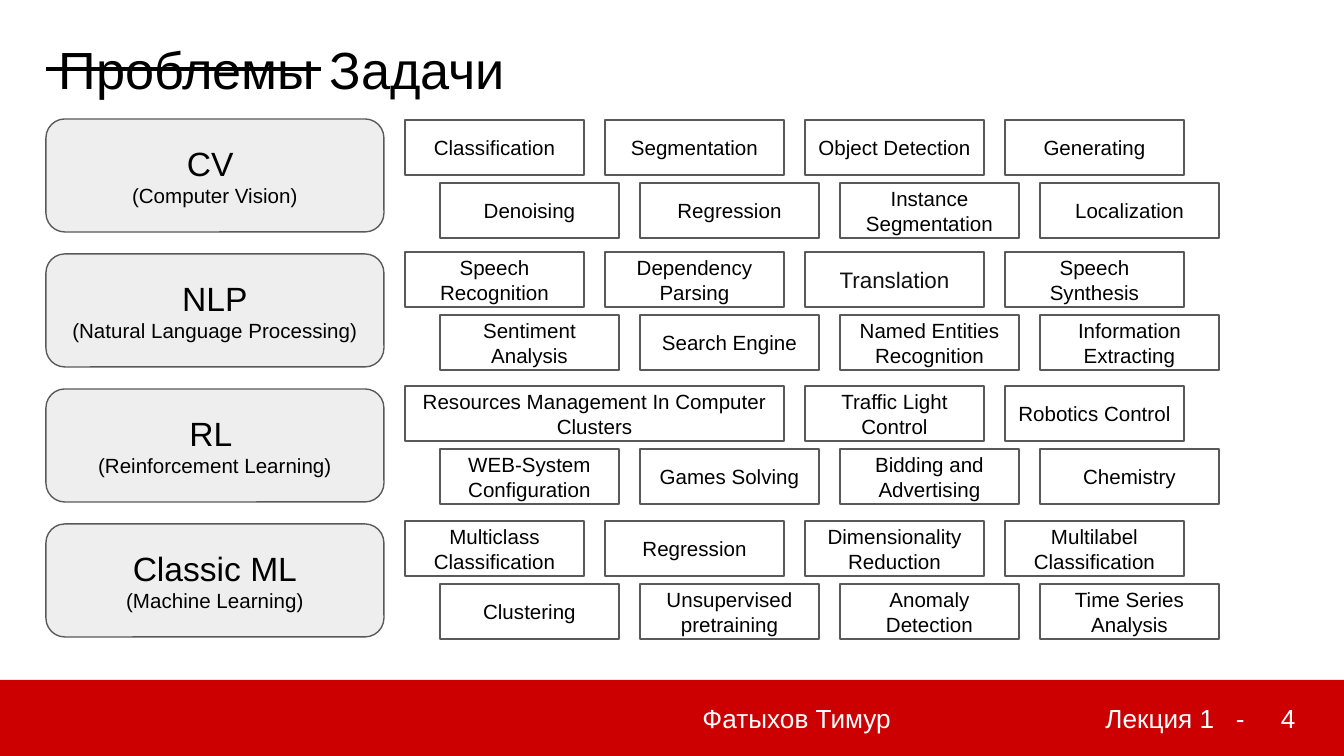
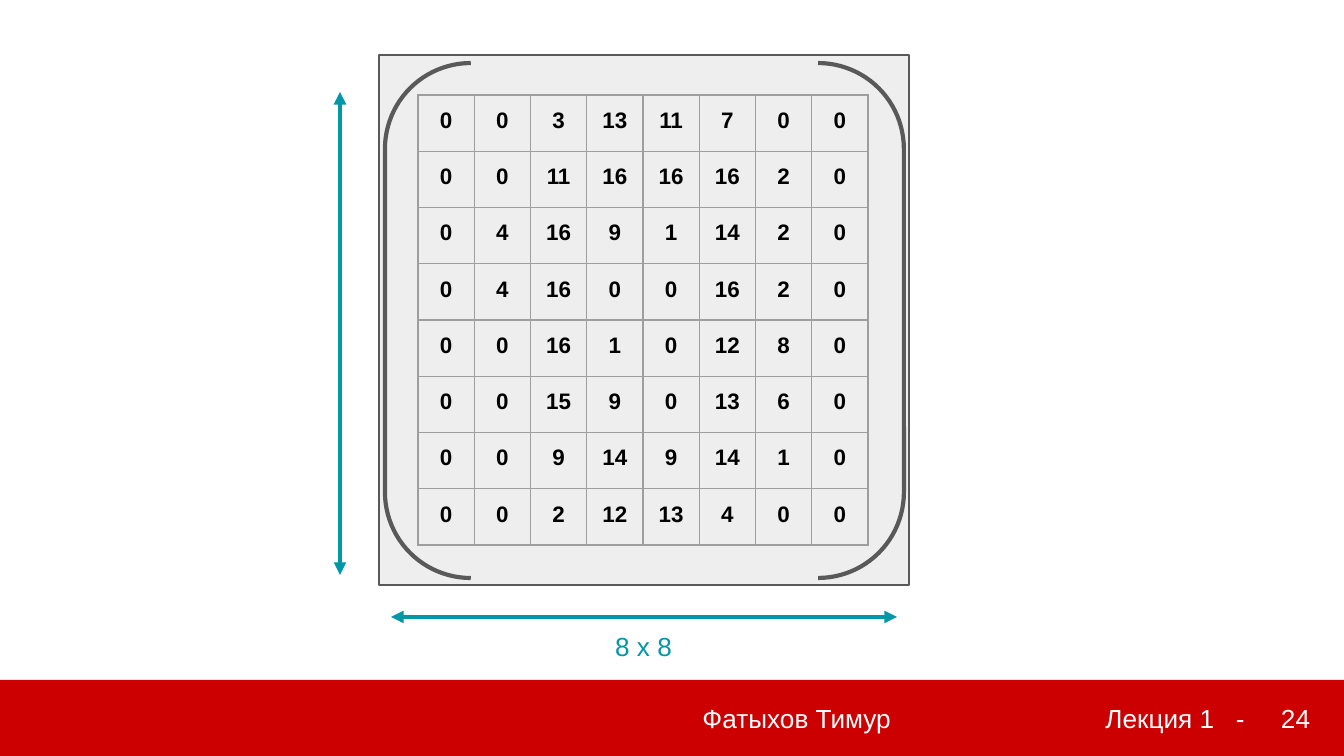
from dataclasses import dataclass
from lxml.etree import SubElement
from pptx import Presentation
from pptx.dml.color import RGBColor
from pptx.enum.shapes import MSO_CONNECTOR, MSO_SHAPE
from pptx.enum.text import MSO_ANCHOR, MSO_AUTO_SIZE, PP_ALIGN
from pptx.oxml import parse_xml
from pptx.oxml.ns import nsdecls, qn
from pptx.util import Emu, Pt

WIDE, HIGH = 1344, 756
SCALE = 9144000 / WIDE


def px(*sizes):
    return [Emu(round(size * SCALE)) for size in sizes]


def put(item, values):
    for key, value in values.items():
        setattr(item, key, value)


@dataclass(frozen=True)
class Theme:
    face: str = "Arial"
    red: str = "CC0000"
    white: str = "FFFFFF"
    black: str = "000000"
    ink: str = "111111"
    pale: str = "EEEEEE"
    dark: str = "595959"
    grid: str = "9E9E9E"
    teal: str = "0097A7"
    title: int = 28
    head: int = 18
    foot: int = 14
    mid: int = 12
    small: int = 11
    thin: float = 0.75
    thick: float = 2.25
    pad: int = 13


class Deck:
    def __init__(self, theme):
        self.theme = theme
        self.file = Presentation()
        width, height = px(WIDE, HIGH)
        put(self.file, {"slide_width": width, "slide_height": height})
        self.slide = None

    def page(self, number, title=None):
        look = self.theme
        first = self.slide is None
        layout = self.file.slide_layouts[5 if title else 6]
        self.slide = self.file.slides.add_slide(layout)
        if first:
            self.band()
        if title:
            self.title(title)
        self.label((1268, 680, 76, 76), number, look.white, PP_ALIGN.LEFT, MSO_ANCHOR.MIDDLE)

    def band(self):
        look = self.theme
        bar = self.box((0, 680, WIDE, 76), look.red, None)
        lines = [("Фатыхов Тимур\t\tЛекция 1   -", look.foot, look.white)]
        self.words(bar.text_frame, lines, PP_ALIGN.RIGHT, right=99)
        para = bar.text_frame.paragraphs[0]
        stops = SubElement(para._p.get_or_add_pPr(), qn("a:tabLst"))
        for stop in px(269, 403):
            SubElement(stops, qn("a:tab"), pos=str(stop), algn="l")
        self.file.slide_master.shapes.element.append(bar.element)

    def words(self, frame, lines, align=PP_ALIGN.CENTER, anchor=MSO_ANCHOR.MIDDLE, top=None, right=None):
        pad = self.theme.pad
        left, top, right, bottom = px(pad, top or pad, right or pad, pad)
        put(frame, {
            "word_wrap": True, "auto_size": MSO_AUTO_SIZE.NONE, "vertical_anchor": anchor,
            "margin_left": left, "margin_top": top, "margin_right": right, "margin_bottom": bottom,
        })
        for row, (text, size, tint) in enumerate(lines):
            para = frame.add_paragraph() if row else frame.paragraphs[0]
            self.line(para, text, size, tint, align)

    def line(self, para, text, size, tint, align, bold=False):
        para.alignment = align
        run = para.add_run()
        run.text = text
        put(run.font, {"name": self.theme.face, "size": Pt(size), "bold": bold})
        run.font.color.rgb = RGBColor.from_string(tint)

    def title(self, text):
        look = self.theme
        head = self.slide.shapes.title
        put(head, dict(zip(("left", "top", "width", "height"), px(46, 17, 1252, 84))))
        lines = [(text, look.title, look.black)]
        self.words(head.text_frame, lines, PP_ALIGN.LEFT, MSO_ANCHOR.TOP, top=20)

    def label(self, area, text, tint, align=PP_ALIGN.CENTER, anchor=MSO_ANCHOR.TOP):
        frame = self.slide.shapes.add_textbox(*px(*area)).text_frame
        self.words(frame, [(text, self.theme.foot, tint)], align, anchor)

    def box(self, area, fill, edge, lines=(), kind=MSO_SHAPE.RECTANGLE, weight=None):
        shape = self.slide.shapes.add_shape(kind, *px(*area))
        shape.shadow.inherit = False
        if fill:
            shape.fill.solid()
            shape.fill.fore_color.rgb = RGBColor.from_string(fill)
        else:
            shape.fill.background()
        if edge:
            shape.line.color.rgb = RGBColor.from_string(edge)
            shape.line.width = Pt(weight or self.theme.thin)
        else:
            shape.line.fill.background()
        if lines:
            self.words(shape.text_frame, lines)
        return shape

    def rule(self, start, end, tint, arrow=False):
        rule = self.slide.shapes.add_connector(MSO_CONNECTOR.STRAIGHT, *px(*start, *end))
        rule.line.color.rgb = RGBColor.from_string(tint)
        rule.line.width = Pt(self.theme.thick)
        props = rule.element.spPr
        if arrow:
            SubElement(props.find(qn("a:ln")), qn("a:tailEnd"), type="triangle")
        SubElement(props, qn("a:effectLst"))

    def table(self, area, rows):
        look = self.theme
        table = self.slide.shapes.add_table(len(rows), len(rows[0]), *px(*area)).table
        put(table, {"first_row": False, "horz_banding": False})
        pad = px(look.pad)[0]
        for row, values in enumerate(rows):
            for col, value in enumerate(values):
                cell = table.cell(row, col)
                put(cell, {"margin_left": 0, "margin_top": pad, "margin_right": 0, "margin_bottom": 0})
                para = cell.text_frame.paragraphs[0]
                self.line(para, str(value), look.mid, look.black, PP_ALIGN.CENTER, True)
                cell.fill.background()
                self.frame(cell)

    def frame(self, cell):
        props = cell._tc.get_or_add_tcPr()
        for spot, side in enumerate("LRTB"):
            props.insert(spot, parse_xml(
                f'<a:ln{side} {nsdecls("a")} w="{Pt(self.theme.thin)}"><a:solidFill>'
                f'<a:srgbClr val="{self.theme.grid}"/></a:solidFill></a:ln{side}>'))


FIELDS = [
    ("CV ", "(Computer Vision)", 120,
     ["Classification", "Segmentation", "Object Detection", "Generating"],
     ["Denoising", "Regression", "Instance Segmentation", "Localization"]),
    ("NLP", "(Natural Language Processing)", 252,
     ["Speech Recognition", "Dependency Parsing", "Translation", "Speech Synthesis"],
     ["Sentiment Analysis", "Search Engine", "Named Entities Recognition", "Information Extracting"]),
    ("RL ", "(Reinforcement Learning)", 386,
     ["Resources Management In Computer Clusters", "Traffic Light Control", "Robotics Control"],
     ["WEB-System Configuration", "Games Solving", "Bidding and Advertising", "Chemistry"]),
    ("Classic ML", "(Machine Learning)", 521,
     ["Multiclass Classification", "Regression", "Dimensionality Reduction", "Multilabel Classification"],
     ["Clustering", "Unsupervised pretraining", "Anomaly Detection", "Time Series Analysis"]),
]

DIGIT = [
    [0, 0, 3, 13, 11, 7, 0, 0],
    [0, 0, 11, 16, 16, 16, 2, 0],
    [0, 4, 16, 9, 1, 14, 2, 0],
    [0, 4, 16, 0, 0, 16, 2, 0],
    [0, 0, 16, 1, 0, 12, 8, 0],
    [0, 0, 15, 9, 0, 13, 6, 0],
    [0, 0, 9, 14, 9, 14, 1, 0],
    [0, 0, 2, 12, 13, 4, 0, 0],
]


def tasks(deck):
    look = deck.theme
    deck.page("4", "Проблемы Задачи")
    deck.rule((46, 69), (321, 69), look.black)
    for place, (name, note, top, *rows) in enumerate(FIELDS):
        lines = [(name, look.head, look.black), (note, look.small, look.black)]
        deck.box((46, 119 + 135 * place, 338, 113), look.pale, look.dark, lines,
                 MSO_SHAPE.ROUNDED_RECTANGLE)
        for level, row in enumerate(rows):
            skip = 4 - len(row)
            for col, task in enumerate(row):
                wide = 179 + 200 * skip * (col == 0)
                left = 405 + 35 * level + 200 * (col + skip * (col > 0))
                style = (look.mid, look.ink) if task == "Translation" else (look.small, look.black)
                deck.box((left, top + 63 * level, wide, 55), look.white, look.dark, [(task, *style)])


def matrix(deck):
    look = deck.theme
    deck.page("24")
    deck.box((379, 55, 530, 530), look.pale, look.dark)
    deck.box((385, 63, 519, 515), None, look.dark, kind=MSO_SHAPE.DOUBLE_BRACKET, weight=look.thick)
    for start, ends in (((636, 617), ((897, 617), (391, 617))), ((340, 333), ((340, 92), (340, 575)))):
        for end in ends:
            deck.rule(start, end, look.teal, True)
    deck.label((505, 617, 277, 54), "8 x 8", look.teal)
    deck.table((418, 95, 450, 450), DIGIT)


def main():
    deck = Deck(Theme())
    tasks(deck)
    matrix(deck)
    deck.file.save("out.pptx")


if __name__ == "__main__":
    main()
